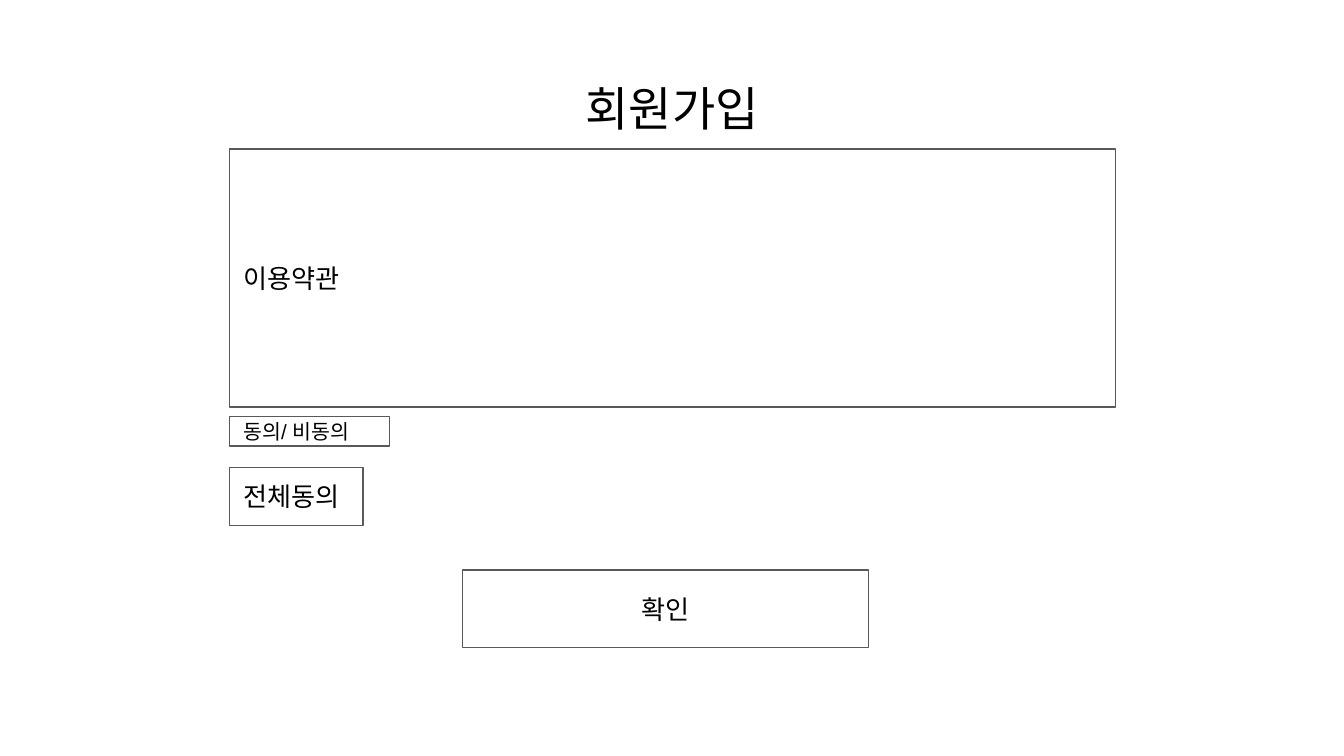
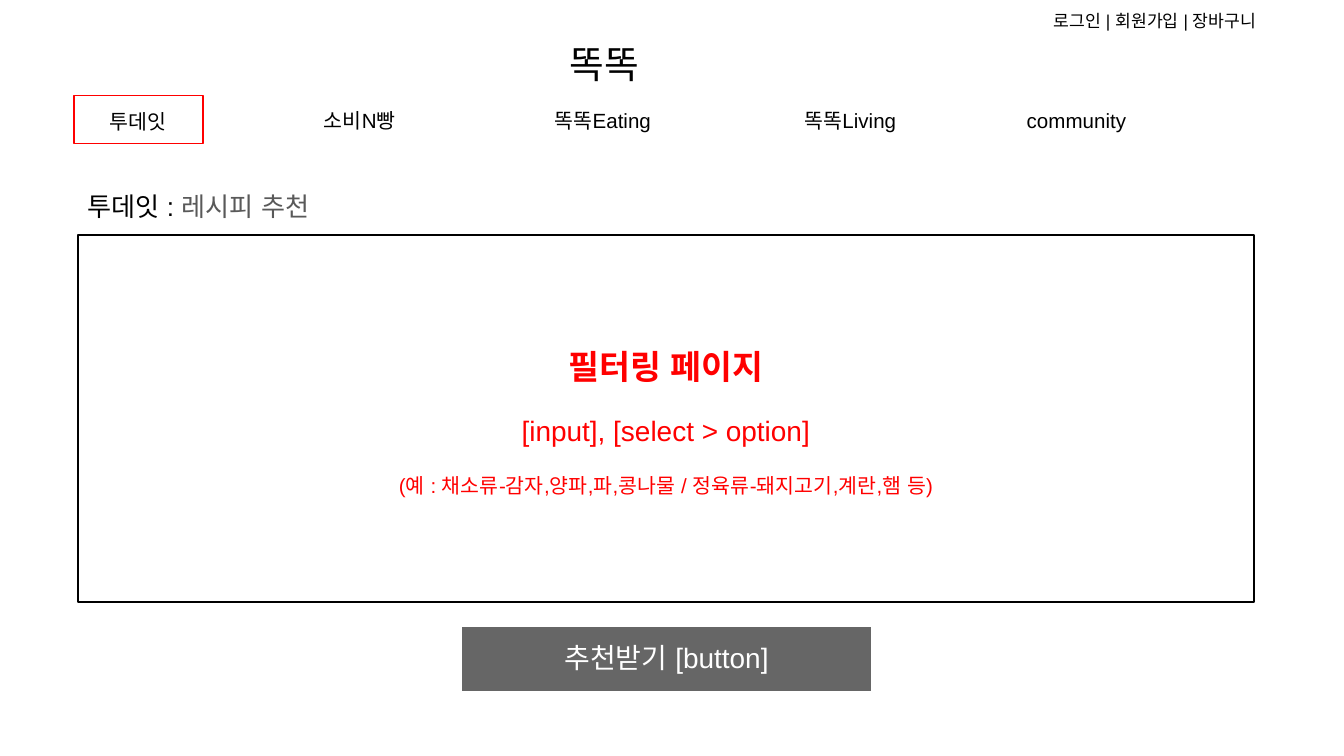
import pptx
import pptx.util
import pptx.dml.color
import pptx.enum.shapes
import pptx.enum.text
import lxml.etree

# Slide grid: one cell is a tenth of an inch each way
COLUMNS, ROWS = 100, 56.25
CELL = pptx.util.Inches(0.1)
FONT = "Arial"
BLACK, WHITE, GREY, DARK, RED = "000000", "FFFFFF", "595959", "666666", "FF0000"
CENTER = pptx.enum.text.PP_ALIGN.CENTER
LEFT = pptx.enum.text.PP_ALIGN.LEFT
TOP = pptx.enum.text.MSO_ANCHOR.TOP
MIDDLE = pptx.enum.text.MSO_ANCHOR.MIDDLE


def color(hex_code):
    return pptx.dml.color.RGBColor.from_string(hex_code)


def apply(target, formats):
    for name, value in formats.items():
        setattr(target, name, value)


def within(region, column, row, width, height):
    """Shift a box from region cells to slide cells."""
    return region[0] + column, region[1] + row, width, height


def add_span(para, text, size, ink=BLACK, bold=False):
    span = para.add_run()
    span.text = text
    apply(span.font, {"name": FONT, "size": pptx.util.Pt(size), "bold": bold})
    span.font.color.rgb = color(ink)
    east_asian = lxml.etree.SubElement(
        span.font._element, pptx.oxml.ns.qn("a:ea"))
    east_asian.set("typeface", FONT)


def add_box(page, box, paras, fill=None, line=None, align=CENTER, anchor=TOP):
    """Draw a box; each paragraph is (list of spans, dict of formats)."""
    place = [round(cells * CELL) for cells in box]
    if fill or line:
        shape = page.shapes.add_shape(
            pptx.enum.shapes.MSO_SHAPE.RECTANGLE, *place)
        shape.shadow.inherit = False
        if fill:
            shape.fill.solid()
            shape.fill.fore_color.rgb = color(fill)
        else:
            shape.fill.background()
        shape.line.color.rgb = color(line)
        shape.line.width = pptx.util.Pt(0.75)
    else:
        shape = page.shapes.add_textbox(*place)
    frame = shape.text_frame
    margins = {"margin_" + side: CELL
               for side in ("left", "top", "right", "bottom")}
    apply(frame, {"word_wrap": True, "vertical_anchor": anchor, **margins})
    for index, (spans, formats) in enumerate(paras):
        para = frame.add_paragraph() if index else frame.paragraphs[0]
        apply(para, {"alignment": align, **formats})
        for span in spans:
            add_span(para, *span)


def add_label(page, box, text, size, **look):
    add_box(page, box, [([(text, size)], {})], **look)


# Sign-up page
def add_signup_form(page, region):
    fields = [
        ("이용약관", 14, (0, 0, region[2], 19.2), LEFT),
        ("동의/ 비동의", 11, (0, 19.9, 11.9, 2.2), LEFT),
        ("전체동의", 14, (0, 23.7, 9.9, 4.3), LEFT),
        ("확인", 14, (17.3, 31.3, 30.2, 5.8), CENTER),
    ]
    for text, size, box, align in fields:
        add_label(page, within(region, *box), text, size,
                  fill=WHITE, line=GREY, align=align, anchor=MIDDLE)


def build_signup(page):
    add_label(page, (3.4, 4.9, 93.2, 6.3), "회원가입", 25.2)
    add_signup_form(page, (17.1, 11.1, 65.9, 37.1))


# Recipe page
def add_header(page, region):
    add_label(page, within(region, 41.4, 2, 8, 4.2), "똑똑", 20.2, align=LEFT)
    add_label(page, within(region, 77.4, 0, 19.2, 4.2),
              "로그인 | 회원가입 | 장바구니", 9.2, align=LEFT)


def add_menu(page, region, active):
    tabs = [("투데잇", 9.6), ("소비N빵", 9.6), ("똑똑Eating", 12.8),
            ("똑똑Living", 10.3), ("community", 9.6)]
    gap = (region[2] - sum(width for _, width in tabs)) / (len(tabs) - 1)
    column = 0
    for text, width in tabs:
        add_label(page, within(region, column, 0, width, region[3]), text, 11,
                  line=RED if text == active else None)
        column += width + gap


def add_filter_panel(page, region):
    gap = pptx.util.Pt(12)
    spacing = {"line_spacing": 1.15}
    paras = [
        ([("필터링 페이지", 18, RED, True)], spacing),
        ([("[input], [select > option]", 15, RED)],
         {**spacing, "space_before": gap}),
        ([("(예 : 채소류-감자,양파,파,콩나물 / 정육류-돼지고기,계란,햄 등)", 11, RED)],
         {**spacing, "space_before": gap, "space_after": gap}),
    ]
    add_box(page, region, paras, fill=WHITE, line=BLACK, anchor=MIDDLE)


def add_button(page, region):
    formats = {"line_spacing": 0.95, "space_after": pptx.util.Pt(12)}
    add_box(page, region, [([("추천받기 [button]", 15, WHITE)], formats)],
            fill=DARK, line=WHITE, anchor=MIDDLE)


def build_recipes(page):
    heading = [("투데잇 : ", 14), ("레시피 추천", 14, GREY)]
    add_box(page, (5.5, 13.2, 29.4, 6.3), [(heading, {})], align=LEFT)
    add_filter_panel(page, (5.8, 17.5, 87.5, 27.3))
    add_header(page, (0, 0, COLUMNS, 6.2))
    add_menu(page, (5.5, 7.1, 79.4, 3.6), active="투데잇")
    add_button(page, (34.3, 46.6, 30.6, 4.9))


def main():
    deck = pptx.Presentation()
    apply(deck, {"slide_width": COLUMNS * CELL,
                 "slide_height": round(ROWS * CELL)})
    for build in (build_signup, build_recipes):
        build(deck.slides.add_slide(deck.slide_layouts[6]))
    deck.save("out.pptx")


if __name__ == "__main__":
    main()
